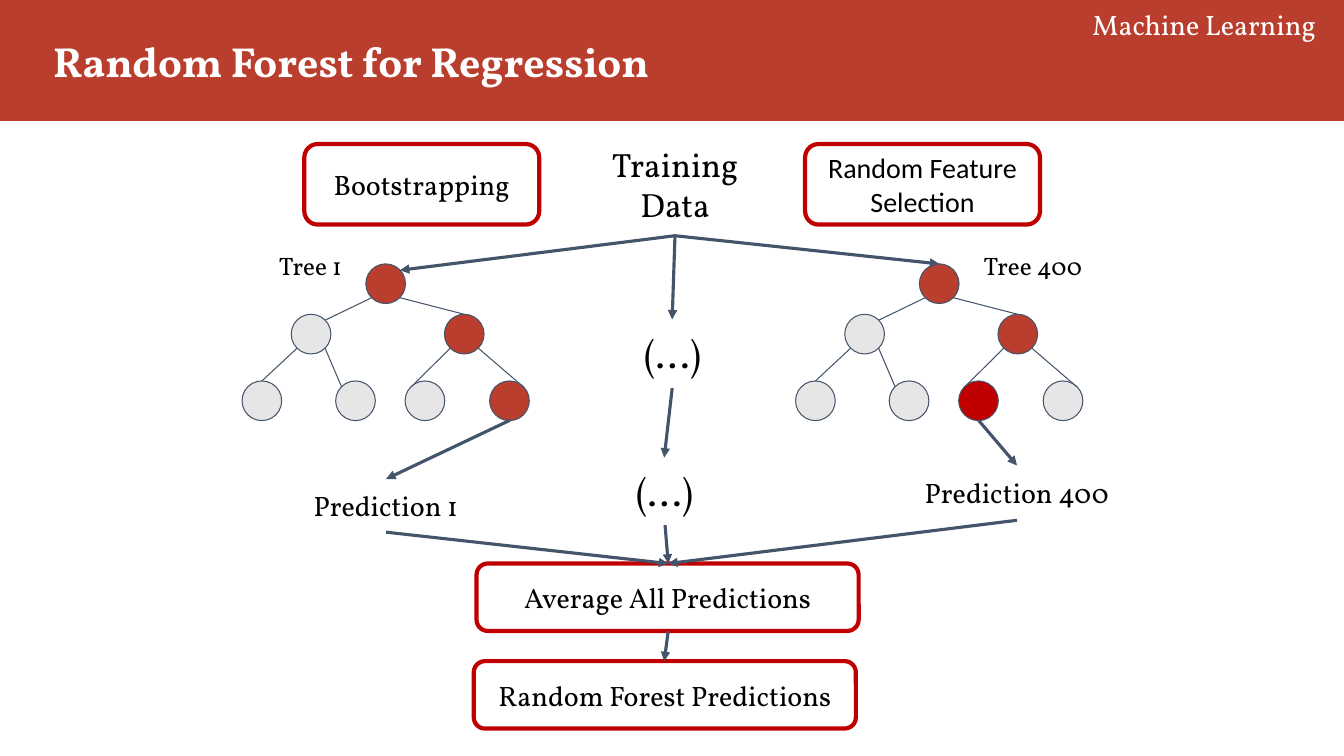
from lxml.etree import SubElement
from pptx import Presentation
from pptx.dml.color import RGBColor
from pptx.enum.shapes import MSO_CONNECTOR, MSO_SHAPE
from pptx.enum.text import MSO_ANCHOR, PP_ALIGN
from pptx.oxml.ns import qn
from pptx.util import Cm, Pt

BRICK = RGBColor(0xB9, 0x3E, 0x2D)
RED = RGBColor(0xC0, 0x00, 0x00)
GREY = RGBColor(0xE7, 0xE6, 0xE6)
SLATE = RGBColor(0x44, 0x54, 0x6A)
WHITE = RGBColor(0xFF, 0xFF, 0xFF)
BLACK = RGBColor(0x00, 0x00, 0x00)

NODE_SIZE = 1.0
NODE_OFFSETS = {
    "root": (0, 0),
    "left": (-1.88, 1.27),
    "right": (1.98, 1.27),
    "left-left": (-3.12, 2.95),
    "left-right": (-0.76, 2.95),
    "right-left": (0.99, 2.95),
    "right-right": (3.12, 2.95),
}
TOP = (0.5, 0)
TOP_LEFT, TOP_RIGHT = (0.15, 0.15), (0.85, 0.15)
BOTTOM_LEFT, BOTTOM_RIGHT = (0.15, 0.85), (0.85, 0.85)
BRANCHES = [
    ("root", BOTTOM_LEFT, "left", TOP_RIGHT),
    ("root", BOTTOM_RIGHT, "right", TOP),
    ("left", BOTTOM_LEFT, "left-left", TOP),
    ("left", BOTTOM_RIGHT, "left-right", TOP_LEFT),
    ("right", BOTTOM_LEFT, "right-left", TOP_LEFT),
    ("right", BOTTOM_RIGHT, "right-right", TOP_RIGHT),
]

DATA_EXIT = (17.01, 5.94)
AVERAGE_ENTRY = (16.84, 14.2)
ARROWS = [
    (DATA_EXIT, (10.08, 6.81)),
    (DATA_EXIT, (23.67, 6.65)),
    (DATA_EXIT, (16.94, 8.05)),
    ((12.85, 10.59), (9.73, 12.07)),
    ((24.66, 10.59), (25.63, 11.73)),
    ((16.94, 9.78), (16.74, 11.53)),
    ((9.73, 13.41), AVERAGE_ENTRY),
    ((16.76, 13.23), AVERAGE_ENTRY),
    ((25.63, 13.11), AVERAGE_ENTRY),
    ((16.84, 15.9), (16.74, 16.66)),
]


def write_text(shape, text, size=20, font="Vollkorn", color=BLACK, bold=False,
               align=PP_ALIGN.CENTER, anchor=MSO_ANCHOR.TOP, inset=0.25):
    """Put one formatted paragraph into a shape."""
    frame = shape.text_frame
    frame.word_wrap = True
    frame.vertical_anchor = anchor
    frame.margin_left = frame.margin_right = Cm(0.25)
    frame.margin_top = frame.margin_bottom = Cm(inset)
    paragraph = frame.paragraphs[0]
    paragraph.alignment = align
    run = paragraph.add_run()
    run.text = text
    run.font.size = Pt(size)
    run.font.name = font
    run.font.bold = bold
    run.font.color.rgb = color


def add_label(slide, text, left, top, width, height, **text_format):
    """Add a text box."""
    box = slide.shapes.add_textbox(Cm(left), Cm(top), Cm(width), Cm(height))
    write_text(box, text, **text_format)


def add_figure(slide, kind, left, top, width, height, fill=None, line=None, weight=0.75):
    """Add a preset shape with a flat fill and outline."""
    shape = slide.shapes.add_shape(kind, Cm(left), Cm(top), Cm(width), Cm(height))
    shape.shadow.inherit = False
    if fill is None:
        shape.fill.background()
    else:
        shape.fill.solid()
        shape.fill.fore_color.rgb = fill
    if line is None:
        shape.line.fill.background()
    else:
        shape.line.color.rgb = line
        shape.line.width = Pt(weight)
    return shape


def add_step(slide, text, left, top, width, height, font="Vollkorn"):
    """Add a red rounded frame with centred text."""
    step = add_figure(slide, MSO_SHAPE.ROUNDED_RECTANGLE, left, top, width, height,
                      line=RED, weight=3)
    write_text(step, text, font=font, anchor=MSO_ANCHOR.MIDDLE)


def add_link(slide, start, end, weight=0.75, arrow=False):
    """Add a straight line, with an arrowhead at its end on request."""
    link = slide.shapes.add_connector(
        MSO_CONNECTOR.STRAIGHT, *(Cm(value) for value in (*start, *end)))
    link.line.color.rgb = SLATE
    link.line.width = Pt(weight)
    if arrow:
        SubElement(link.line._get_or_add_ln(), qn("a:tailEnd"), type="triangle")
    SubElement(link._element.spPr, qn("a:effectLst"))


def add_tree(slide, left, top, decision_colors):
    """Add a decision tree whose chosen nodes are coloured."""
    nodes = {name: (left + x, top + y) for name, (x, y) in NODE_OFFSETS.items()}
    for name, (x, y) in nodes.items():
        add_figure(slide, MSO_SHAPE.OVAL, x, y, NODE_SIZE, NODE_SIZE,
                   fill=decision_colors.get(name, GREY), line=SLATE)
    for parent, exit_site, child, entry_site in BRANCHES:
        start, end = (
            [origin + NODE_SIZE * share for origin, share in zip(nodes[name], site)]
            for name, site in ((parent, exit_site), (child, entry_site)))
        add_link(slide, start, end)


def add_header(slide):
    """Add the banner with the title and the course name."""
    add_figure(slide, MSO_SHAPE.RECTANGLE, 0, 0, 33.87, 3.05, fill=BRICK)
    add_label(slide, "Random Forest for Regression", 1.09, 0.76, 28.5, 1.55,
              size=30, color=WHITE, bold=True, align=PP_ALIGN.LEFT, inset=0.13)
    add_label(slide, "Machine Learning", 21.39, 0.05, 12.03, 1.12,
              color=WHITE, align=PP_ALIGN.RIGHT, inset=0.13)


def main():
    """Build the slide and save it."""
    presentation = Presentation()
    presentation.slide_width = Cm(33.87)
    presentation.slide_height = Cm(19.05)
    slide = presentation.slides.add_slide(presentation.slide_layouts[6])

    add_header(slide)
    add_step(slide, "Bootstrapping", 7.67, 3.63, 5.92, 2.03)
    add_step(slide, "Random Feature Selection", 20.29, 3.63, 5.92, 2.03, font="Calibri")
    add_label(slide, "Training Data", 14.45, 3.38, 5.13, 2.57, size=24)

    add_tree(slide, 9.22, 6.65, {"root": BRICK, "right": BRICK, "right-right": BRICK})
    add_tree(slide, 23.17, 6.65, {"root": BRICK, "right": BRICK, "right-left": RED})
    add_label(slide, "Tree 1", 5.46, 6.07, 4.72, 1.27, size=18)
    add_label(slide, "Tree 400", 23.67, 6.07, 4.72, 1.27, size=18)
    add_label(slide, "(...)", 15.49, 8.05, 2.92, 1.7, size=28)
    add_label(slide, "(...)", 15.11, 11.53, 3.28, 1.7, size=28)
    add_label(slide, "Prediction 1", 5.66, 12.07, 8.13, 1.37)
    add_label(slide, "Prediction 400", 21.56, 11.73, 8.13, 1.37)

    add_step(slide, "Average All Predictions", 12.01, 14.2, 9.63, 1.7)
    add_step(slide, "Random Forest Predictions", 11.94, 16.66, 9.63, 1.7)
    for start, end in ARROWS:
        add_link(slide, start, end, weight=2.25, arrow=True)

    presentation.save("out.pptx")


if __name__ == "__main__":
    main()
